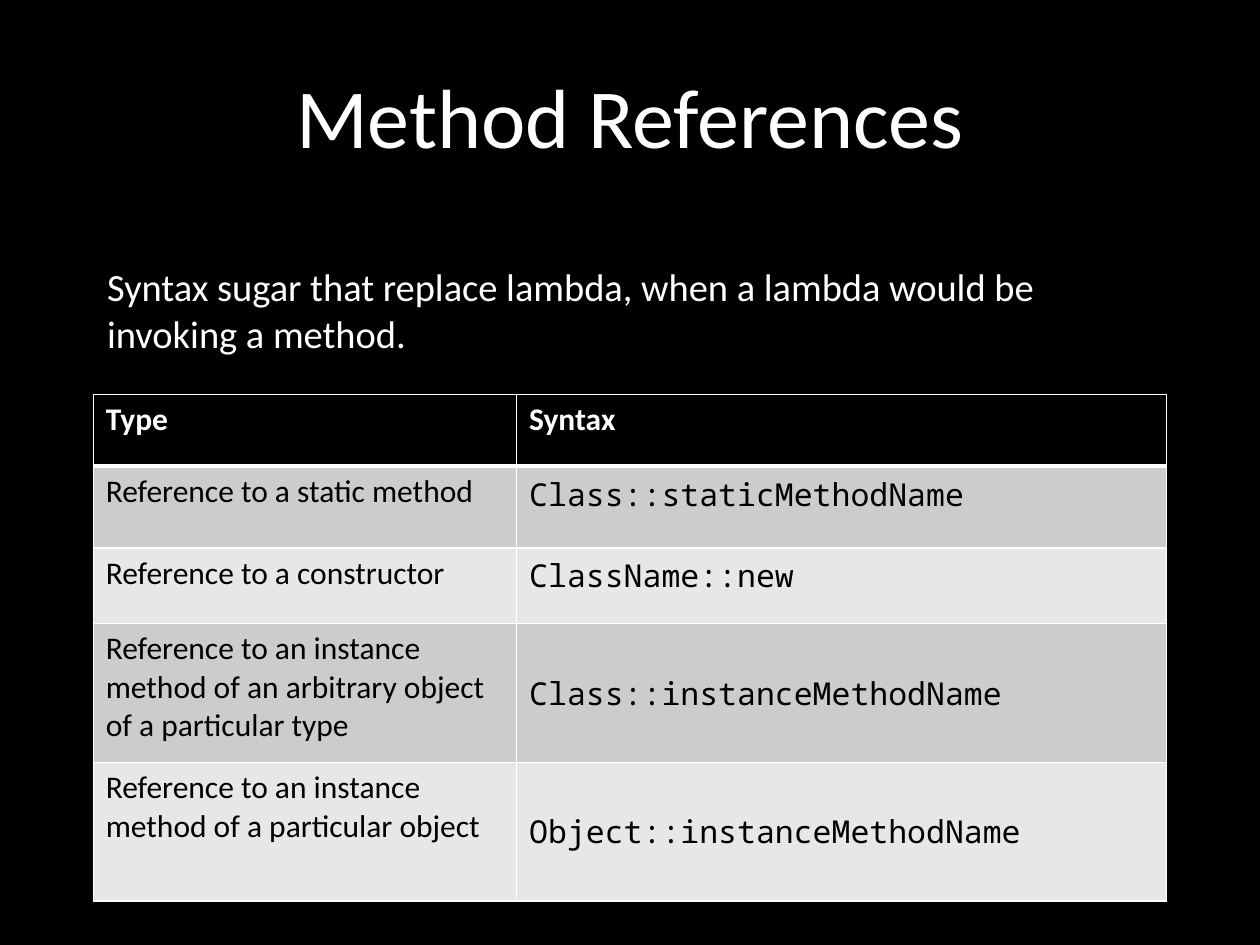
from lxml import etree
from pptx import Presentation
from pptx.dml.color import RGBColor
from pptx.enum.text import MSO_ANCHOR, PP_ALIGN
from pptx.oxml.ns import qn
from pptx.util import Inches, Pt

TOP, MIDDLE = MSO_ANCHOR.TOP, MSO_ANCHOR.MIDDLE
LEFT, CENTER = PP_ALIGN.LEFT, PP_ALIGN.CENTER
BLACK = RGBColor(0x00, 0x00, 0x00)
WHITE = RGBColor(0xFF, 0xFF, 0xFF)
GRAY = RGBColor(0xCC, 0xCC, 0xCC)
LIGHT = RGBColor(0xE7, 0xE7, 0xE7)
SANS, MONO = "Calibri", "Noto Sans Mono"


def write(tf, text, color, **fmt):
    p = tf.paragraphs[0]
    r = p.add_run()
    r.text = text
    r.font.color.rgb = color
    for name, value in fmt.items():
        setattr(r.font, name, value)
    return p


def add_border(cell, side, width):
    tcPr = cell._tc.get_or_add_tcPr()
    ln = etree.SubElement(tcPr, qn(f"a:ln{side}"), w=str(Pt(width)))
    fill = etree.SubElement(ln, qn("a:solidFill"))
    etree.SubElement(fill, qn("a:srgbClr"), val=str(WHITE))


prs = Presentation()
prs.slide_width, prs.slide_height = Inches(10), Inches(7.5)
s = prs.slides.add_slide(prs.slide_layouts[1])
s.background.fill.solid()
s.background.fill.fore_color.rgb = BLACK

title, body = s.placeholders
for sp, top, height, anchor in [(title, 0.13, 1.56, MIDDLE), (body, 2.04, 1.08, TOP)]:
    sp.left, sp.top = Inches(0.75), Inches(top)
    sp.width, sp.height = Inches(8.5), Inches(height)
    sp.text_frame.vertical_anchor = anchor

p = write(title.text_frame, "Method References", WHITE, size=Pt(48), name=SANS)
p.alignment = CENTER

p = write(body.text_frame,
          "Syntax sugar that replace lambda, when a lambda would be invoking a method.",
          WHITE, size=Pt(22), name=SANS)
p.alignment = LEFT
p.space_before = Pt(20)
pPr = p._p.get_or_add_pPr()
pPr.set("marL", "0")
pPr.set("indent", "0")
etree.SubElement(pPr, qn("a:buNone"))

rows = [
    ("Type", "Syntax", 0.57, TOP),
    ("Reference to a static method", "Class::staticMethodName", 0.65, TOP),
    ("Reference to a constructor", "ClassName::new", 0.6, TOP),
    ("Reference to an instance method of an arbitrary object of a particular type",
     "Class::instanceMethodName", 1.1, MIDDLE),
    ("Reference to an instance method of a particular object",
     "Object::instanceMethodName", 1.1, MIDDLE),
]
table = s.shapes.add_table(len(rows), 2, Inches(0.74), Inches(3.13),
                           Inches(8.51), Inches(4.01)).table
for column, width in zip(table.columns, [3.36, 5.16]):
    column.width = Inches(width)

for i, (kind, syntax, height, anchor) in enumerate(rows):
    table.rows[i].height = Inches(height)
    header = i == 0
    fill = BLACK if header else (GRAY if i % 2 else LIGHT)
    for j, text in enumerate([kind, syntax]):
        cell = table.cell(i, j)
        cell.vertical_anchor = anchor if j else TOP
        for side in "LRTB":
            thick = (header and side == "B") or (i == 1 and side == "T")
            add_border(cell, side, 3 if thick else 1)
        cell.fill.solid()
        cell.fill.fore_color.rgb = fill
        write(cell.text_frame, text, WHITE if header else BLACK, size=Pt(18),
              bold=header, name=MONO if j and not header else SANS)

prs.save("out.pptx")
